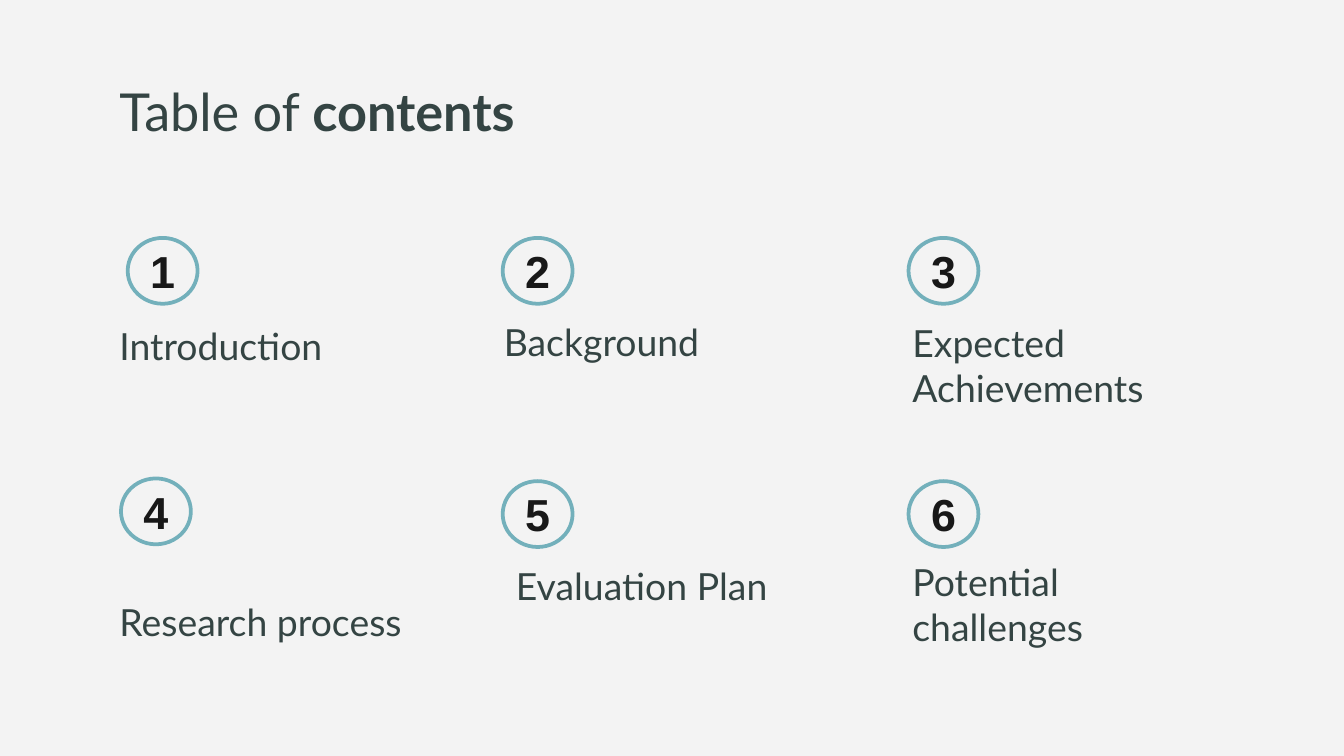
import pptx
import pptx.util
import pptx.dml.color
import pptx.enum.shapes
import pptx.enum.text

Inches = pptx.util.Inches
Pt = pptx.util.Pt
RGB = pptx.dml.color.RGBColor
ANCHOR = pptx.enum.text.MSO_ANCHOR

PAPER = RGB(0xF3, 0xF3, 0xF3)
TEAL = RGB(0x73, 0xB0, 0xBB)
SLATE = RGB(0x34, 0x44, 0x43)
INK = RGB(0x18, 0x18, 0x18)

WIDE = 10
HIGH = WIDE * 9 / 16
COLS = (0.9, 3.74, 6.76)
ROWS = (1.77, 3.58)
CELL = 2.52

# label, badge shift (x, y), label shift (x, y), label height
TOPICS = (
    ("Introduction", (0.05, 0), (-0.11, 0.53), 0.54),
    ("Background", (0, 0), (-0.09, 0.56), 0.48),
    ("Expected Achievements", (0, 0), (-0.07, 0.56), 0.82),
    ("Research process", (0, -0.02), (-0.11, 0.49), 0.82),
    ("Evaluation Plan", (0, 0), (0, 0.55), 0.49),
    ("Potential challenges", (0, 0), (-0.07, 0.53), 0.82),
)


def style(font, name, size, color, bold=None):
    """Set the face, size, colour and weight of a font."""
    font.name, font.size, font.bold = name, Pt(size), bold
    font.color.rgb = color


def pad(frame, inset, anchor):
    """Wrap a text frame, with equal insets and the given anchor."""
    frame.word_wrap = True
    frame.vertical_anchor = anchor
    frame.margin_left = frame.margin_right = Inches(inset)
    frame.margin_top = frame.margin_bottom = Inches(inset)


def add_text(slide, box, size, anchor):
    """Add an empty text box and return its styled paragraph."""
    frame = slide.shapes.add_textbox(*map(Inches, box)).text_frame
    pad(frame, 0.1, anchor)
    para = frame.paragraphs[0]
    style(para.font, "Lato", size, SLATE)
    return para


def add_title(slide, box):
    """Add the title with its last word in bold."""
    para = add_text(slide, box, 28, ANCHOR.TOP)
    para.add_run().text = "Table of "
    run = para.add_run()
    run.text = "contents"
    run.font.bold = True


def add_badge(slide, left, top, number):
    """Add a ringed number at the given corner."""
    box = map(Inches, (left, top, 0.52, 0.49))
    ring = slide.shapes.add_shape(pptx.enum.shapes.MSO_SHAPE.OVAL, *box)
    ring.shadow.inherit = False
    ring.fill.solid()
    ring.fill.fore_color.rgb = PAPER
    ring.line.color.rgb = TEAL
    ring.line.width = Pt(2)
    pad(ring.text_frame, 0, ANCHOR.MIDDLE)
    para = ring.text_frame.paragraphs[0]
    para.text = str(number)
    para.alignment = pptx.enum.text.PP_ALIGN.CENTER
    style(para.font, "Arial", 24, INK, True)


def add_topic(slide, left, top, number, topic):
    """Add one numbered topic, placed from its cell corner."""
    label, badge, text, height = topic
    add_badge(slide, left + badge[0], top + badge[1], number)
    box = (left + text[0], top + text[1], CELL, height)
    add_text(slide, box, 20, ANCHOR.BOTTOM).text = label


def main():
    """Build the contents slide and save it."""
    deck = pptx.Presentation()
    deck.slide_width, deck.slide_height = Inches(WIDE), Inches(HIGH)
    slide = deck.slides.add_slide(deck.slide_layouts[6])
    slide.background.fill.solid()
    slide.background.fill.fore_color.rgb = PAPER
    add_title(slide, (0.79, 0.49, 8.43, 0.63))
    for index, topic in enumerate(TOPICS):
        row, col = divmod(index, len(COLS))
        add_topic(slide, COLS[col], ROWS[row], index + 1, topic)
    deck.save("out.pptx")


if __name__ == "__main__":
    main()
